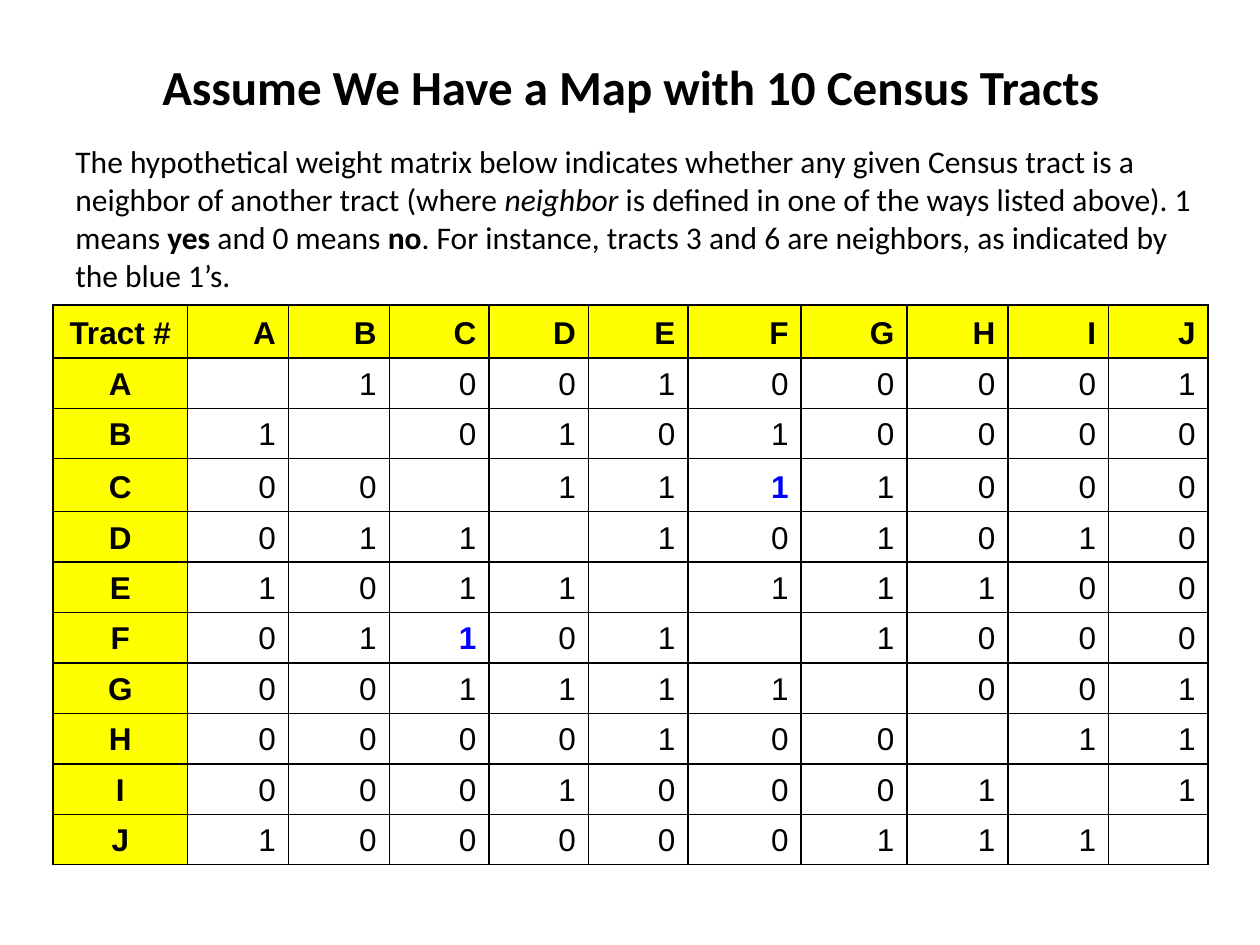
import pptx
import pptx.dml.color
import pptx.enum.text
import pptx.oxml
import pptx.oxml.ns
import pptx.util

COLORS = {"text": "000000", "header": "FFFF00", "highlight": "0000FF", "border": "000000"}
ALIGN = pptx.enum.text.PP_ALIGN
ANCHOR = pptx.enum.text.MSO_ANCHOR

TRACTS = "ABCDEFGHIJ"
NEIGHBORS = [
    " 100100001",
    "1 01010000",
    "00 1111000",
    "011 101010",
    "1011 11100",
    "01101 1000",
    "001111 001",
    "0000100 11",
    "00010001 1",
    "100000111 ",
]
HIGHLIGHTED = {("C", "F"), ("F", "C")}
COLUMN_WIDTHS = [1.07, 0.8, 0.8, 0.79, 0.79, 0.79, 0.9, 0.84, 0.8, 0.8, 0.79]
TALL_ROW, ROW = 0.42, 0.4
ROW_HEIGHTS = [TALL_ROW if row in (0, 3) else ROW for row in range(len(TRACTS) + 1)]


def add_text(paragraph, text, font="Calibri", size=18, color="text", bold=False, italic=False):
    run = paragraph.add_run()
    run.text = text
    run.font.name = font
    run.font.size = pptx.util.Pt(size)
    run.font.bold = bold
    run.font.italic = italic
    run.font.color.rgb = pptx.dml.color.RGBColor.from_string(COLORS[color])


class SlideBuilder:
    def __init__(self, presentation):
        self.width = presentation.slide_width
        self.height = presentation.slide_height
        self.slide = presentation.slides.add_slide(presentation.slide_layouts[6])

    def place(self, left, top, width, height):
        return (int(left * self.width), int(top * self.height),
                int(width * self.width), int(height * self.height))

    def text_box(self, area, runs, align=ALIGN.LEFT, anchor=ANCHOR.TOP):
        frame = self.slide.shapes.add_textbox(*self.place(*area)).text_frame
        frame.word_wrap = True
        frame.vertical_anchor = anchor
        paragraph = frame.paragraphs[0]
        paragraph.alignment = align
        for text, style in runs:
            add_text(paragraph, text, **style)

    def border(self, cell):
        properties = cell._tc.get_or_add_tcPr()
        for side in ("lnL", "lnR", "lnT", "lnB"):
            properties.append(pptx.oxml.parse_xml(
                f'<a:{side} {pptx.oxml.ns.nsdecls("a")} w="{pptx.util.Pt(1)}"><a:solidFill>'
                f'<a:srgbClr val="{COLORS["border"]}"/></a:solidFill></a:{side}>'))

    def cell(self, cell, text, align, fill=None, **style):
        self.border(cell)
        cell.vertical_anchor = ANCHOR.BOTTOM
        if fill:
            cell.fill.solid()
            cell.fill.fore_color.rgb = pptx.dml.color.RGBColor.from_string(COLORS[fill])
        else:
            cell.fill.background()
        paragraph = cell.text_frame.paragraphs[0]
        paragraph.alignment = align
        if text.strip():
            add_text(paragraph, text, font="Arial", **style)

    def matrix(self, left, top):
        inch = pptx.util.Inches
        table = self.slide.shapes.add_table(
            len(ROW_HEIGHTS), len(COLUMN_WIDTHS), int(left * self.width), int(top * self.height),
            inch(sum(COLUMN_WIDTHS)), inch(sum(ROW_HEIGHTS))).table
        table.first_row = table.horz_banding = False
        for column, width in zip(table.columns, COLUMN_WIDTHS):
            column.width = inch(width)
        for row, height in zip(table.rows, ROW_HEIGHTS):
            row.height = inch(height)
        header = {"fill": "header", "bold": True}
        self.cell(table.cell(0, 0), "Tract #", ALIGN.CENTER, **header)
        for index, tract in enumerate(TRACTS, 1):
            self.cell(table.cell(0, index), tract, ALIGN.RIGHT, **header)
            self.cell(table.cell(index, 0), tract, ALIGN.CENTER, **header)
            for column, value in enumerate(NEIGHBORS[index - 1], 1):
                marked = (tract, TRACTS[column - 1]) in HIGHLIGHTED
                self.cell(table.cell(index, column), value, ALIGN.RIGHT,
                          bold=marked, color="highlight" if marked else "text")


def main():
    presentation = pptx.Presentation()
    presentation.slide_width = pptx.util.Inches(10)
    presentation.slide_height = pptx.util.Inches(7.5)
    builder = SlideBuilder(presentation)
    builder.text_box((0.017, 0.25 / 7.5, 0.967, 0.87 / 7.5),
                     [("Assume We Have a Map with 10 Census Tracts", {"size": 28, "bold": True})],
                     ALIGN.CENTER, ANCHOR.MIDDLE)
    builder.matrix(0.042, 2.42 / 7.5)
    builder.text_box((0.05, 1.08 / 7.5, 0.908, 1.3 / 7.5), [
        ("The hypothetical weight matrix below indicates whether any given Census tract is a "
         "neighbor of another tract (where ", {}),
        ("neighbor ", {"italic": True}),
        ("is defined in one of the ways listed above). 1 means ", {}),
        ("yes", {"bold": True}),
        (" and 0 means ", {}),
        ("no", {"bold": True}),
        (". For instance, tracts 3 and 6 are neighbors, as indicated by the blue 1’s.", {}),
    ])
    presentation.save("out.pptx")


if __name__ == "__main__":
    main()
